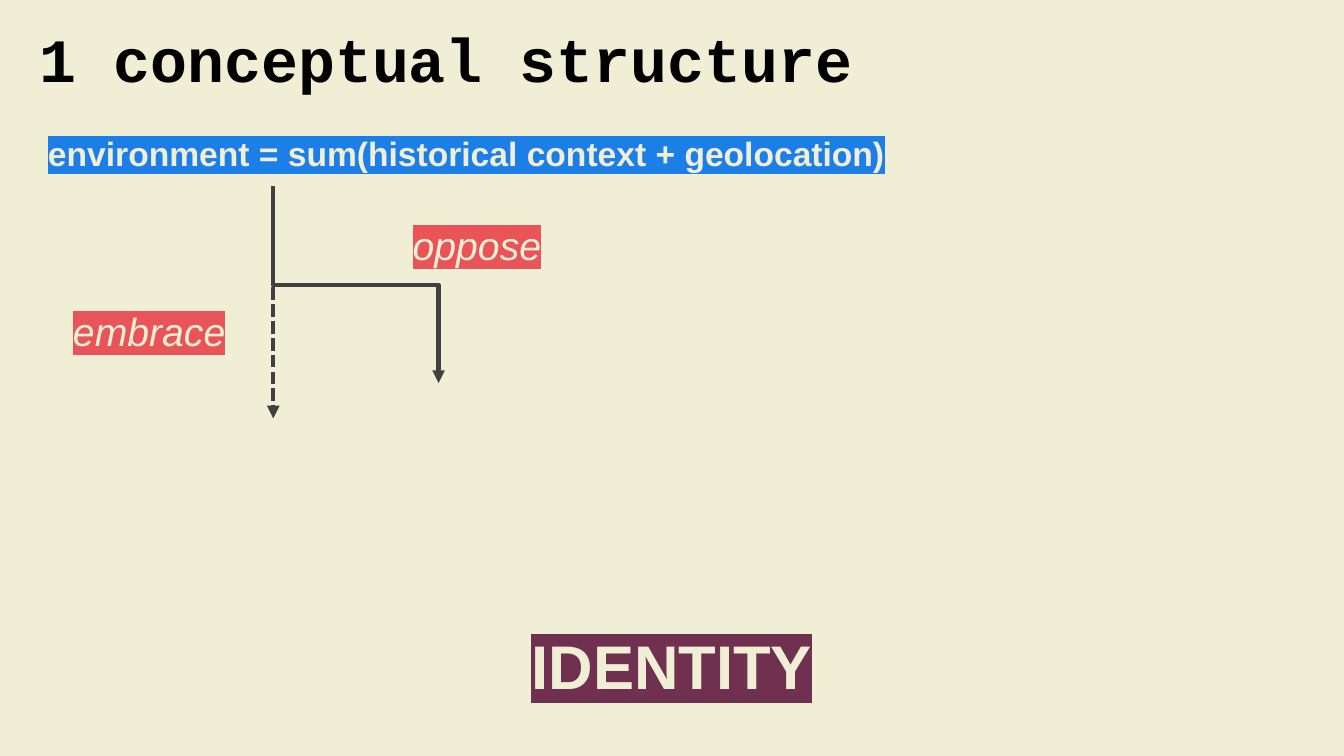
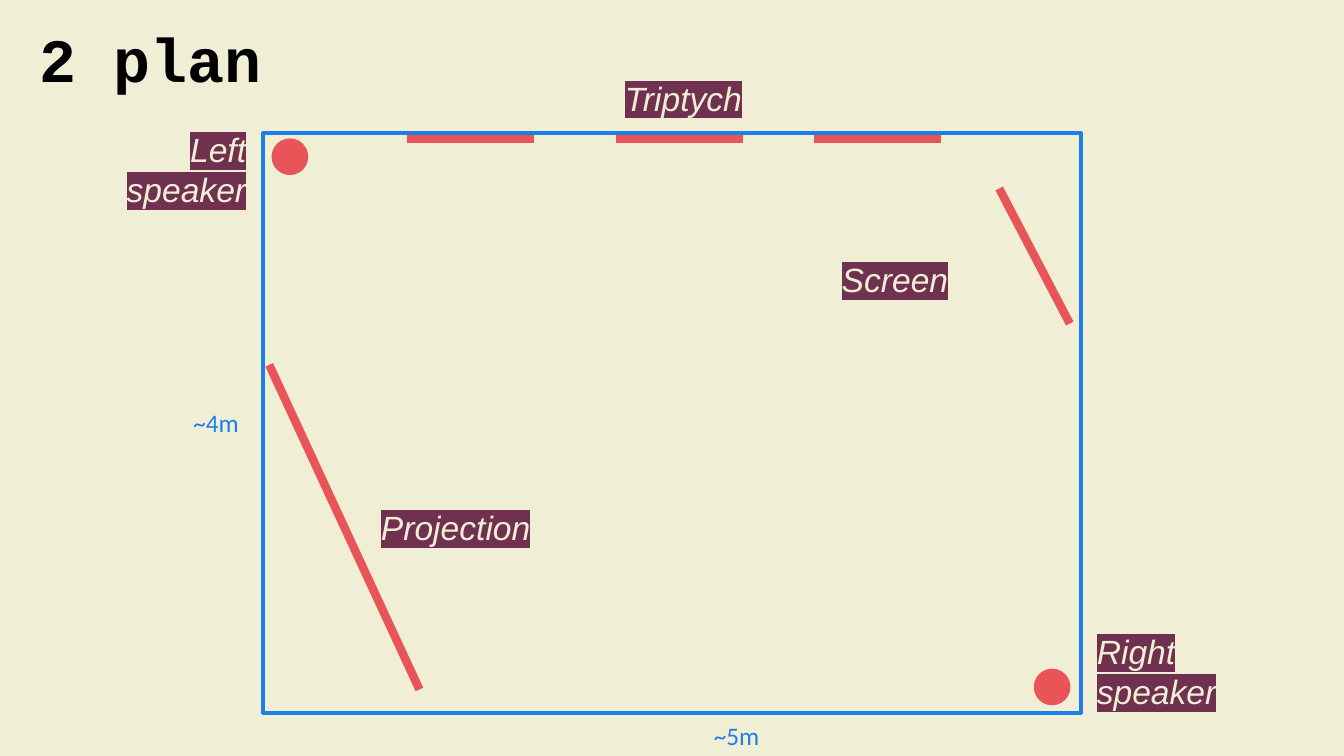
from collections import namedtuple

from pptx import Presentation, util as u
from pptx.dml.color import RGBColor
from pptx.enum import dml, shapes, text
from pptx.oxml import ns, xmlchemy

CREAM, BLUE, RED, PLUM = "F0EED4", "1C7FE8", "E85458", "703050"
GREY, BLACK = "404040", "000000"
LEFT, CENTER, RIGHT = text.PP_ALIGN.LEFT, text.PP_ALIGN.CENTER, text.PP_ALIGN.RIGHT
WIDTH, HEIGHT, MARGIN = 13.33, 7.5, 0.29
LABEL_WIDTH = 1.96

Box = namedtuple("Box", "x y w h")
Style = namedtuple("Style", "font size color highlight bold italic")

HEADING = Style("Courier New", 44, BLACK, None, True, False)
EQUATION = Style("Arial", 24, CREAM, BLUE, True, False)
OUTCOME = Style("Arial", 44, CREAM, PLUM, True, False)
BRANCH = Style("Arial", 28, CREAM, RED, False, True)
OBJECT = Style("Arial", 24, CREAM, PLUM, False, True)
MEASURE = Style("Calibri", 18, BLUE, None, False, False)


def rgb(value):
    """Turn a hex string into a colour."""
    return RGBColor.from_string(value)


def add_element(parent, tag, **attributes):
    """Append a DrawingML element to a parent and return it."""
    element = xmlchemy.OxmlElement(tag)
    for key, value in attributes.items():
        element.set(key, value)
    parent.append(element)
    return element


def write(frame, words, style, align):
    """Write one styled paragraph into a text frame."""
    frame.word_wrap = True
    frame.auto_size = text.MSO_AUTO_SIZE.SHAPE_TO_FIT_TEXT
    frame.vertical_anchor = text.MSO_ANCHOR.TOP
    paragraph = frame.paragraphs[0]
    paragraph.alignment = align
    run = paragraph.add_run()
    run.text = words
    font = paragraph.font
    font.name, font.size = style.font, u.Pt(style.size)
    font.bold, font.italic = style.bold, style.italic
    font.color.rgb = rgb(style.color)
    if style.highlight:
        highlight = add_element(run._r.get_or_add_rPr(), "a:highlight")
        add_element(highlight, "a:srgbClr", val=style.highlight)


def label(slide, box, words, style, align=LEFT):
    """Add a text label in the given box."""
    area = slide.shapes.add_textbox(*map(u.Inches, box))
    write(area.text_frame, words, style, align)


def line(slide, start, end, color, weight, kind=shapes.MSO_CONNECTOR.STRAIGHT):
    """Draw a flat connector between two points."""
    link = slide.shapes.add_connector(kind, *map(u.Inches, (*start, *end)))
    link.line.color.rgb = rgb(color)
    link.line.width = u.Pt(weight)
    add_element(link._element.spPr, "a:effectLst")
    return link


def arrowhead(link):
    """End a connector in a triangle."""
    add_element(link.line._get_or_add_ln(), "a:tailEnd", type="triangle")


def outline(slide, preset, box, fill, edge, weight):
    """Add a flat preset shape."""
    form = slide.shapes.add_shape(preset, *map(u.Inches, box))
    form.shadow.inherit = False
    form.fill.solid()
    form.fill.fore_color.rgb = rgb(fill)
    form.line.color.rgb = rgb(edge)
    form.line.width = u.Pt(weight)


def titled_slide(deck, heading):
    """Add a slide with its heading at the top left."""
    slide = deck.slides.add_slide(deck.slide_layouts[5])
    title = slide.shapes.title
    title.left, title.top = u.Inches(MARGIN), u.Inches(0.16)
    title.width, title.height = u.Inches(WIDTH - 2 * MARGIN), u.Inches(0.84)
    write(title.text_frame, heading, HEADING, LEFT)
    return slide


def fork(slide, box):
    """Draw the dashed path down and the solid path that turns aside."""
    embrace = line(slide, (box.x, box.y), (box.x, box.y + box.h), GREY, 3)
    embrace.line.dash_style = dml.MSO_LINE.SQUARE_DOT
    arrowhead(embrace)

    drop = 1.95
    middle_x, middle_y = box.x + box.w / 2, box.y + drop / 2
    start = middle_x + drop / 2, middle_y - box.w / 2
    end = middle_x - drop / 2, middle_y + box.w / 2
    oppose = line(slide, start, end, GREY, 3, shapes.MSO_CONNECTOR.ELBOW)
    oppose._element.spPr.find(ns.qn("a:xfrm")).set("rot", str(270 * 60000))
    arrowhead(oppose)

    label(slide, Box(box.x - 2.43, box.y + 1.15, 2.4, 0.57), "embrace", BRANCH, CENTER)
    label(slide, Box(box.x + 0.82, box.y + 0.3, 2.4, 0.57), "oppose", BRANCH, CENTER)


def concept_slide(deck):
    """Build the slide that leads from environment to identity."""
    slide = titled_slide(deck, "1 conceptual structure")
    label(slide, Box(MARGIN, 1.27, 8.67, 0.5),
          "environment = sum(historical context + geolocation)", EQUATION, CENTER)
    fork(slide, Box(2.71, 1.85, 1.64, 2.3))
    label(slide, Box(0, 6.18, WIDTH, 0.84), "IDENTITY", OUTCOME, CENTER)


def room_plan(slide, room):
    """Draw the room with its screens, speakers and labels."""
    def spot(x, y):
        return room.x + x, room.y + y

    outline(slide, shapes.MSO_SHAPE.RECTANGLE, room, CREAM, BLUE, 3)

    panels = [((x, 0.06), (x + 1.26, 0.06)) for x in (1.43, 3.5, 5.46)]
    projection = (0.06, 2.3), (1.55, 5.52)
    screen = (7.3, 0.55), (8, 1.89)
    for start, end in [*panels, projection, screen]:
        line(slide, spot(*start), spot(*end), RED, 6)

    for speaker in ((0.09, 0.06), (7.65, 5.32)):
        outline(slide, shapes.MSO_SHAPE.OVAL, Box(*spot(*speaker), 0.35, 0.35), RED, RED, 1)

    for words, x, y, height, align in (
        ("Left speaker", -2.03, -0.09, 0.91, RIGHT),
        ("Triptych", 3.49, -0.6, 0.5, LEFT),
        ("Screen", 5.64, 1.2, 0.5, LEFT),
        ("Projection", 1.07, 3.66, 0.5, LEFT),
        ("Right speaker", 8.17, 4.89, 0.91, LEFT),
    ):
        label(slide, Box(*spot(x, y), LABEL_WIDTH, height), words, OBJECT, align)

    label(slide, Box(*spot(-0.79, 2.67), 0.75, 0.4), "~4m", MEASURE)
    label(slide, Box(*spot(3.84, 5.78), 1.71, 0.4), "~5m", MEASURE, CENTER)


def plan_slide(deck):
    """Build the floor plan slide."""
    slide = titled_slide(deck, "2 plan")
    room_plan(slide, Box(2.61, 1.32, 8.11, 5.75))


def main():
    """Build and save the deck."""
    deck = Presentation()
    deck.slide_width, deck.slide_height = u.Inches(WIDTH), u.Inches(HEIGHT)
    backdrop = deck.slide_master.background.fill
    backdrop.solid()
    backdrop.fore_color.rgb = rgb(CREAM)
    concept_slide(deck)
    plan_slide(deck)
    deck.save("out.pptx")


main()
